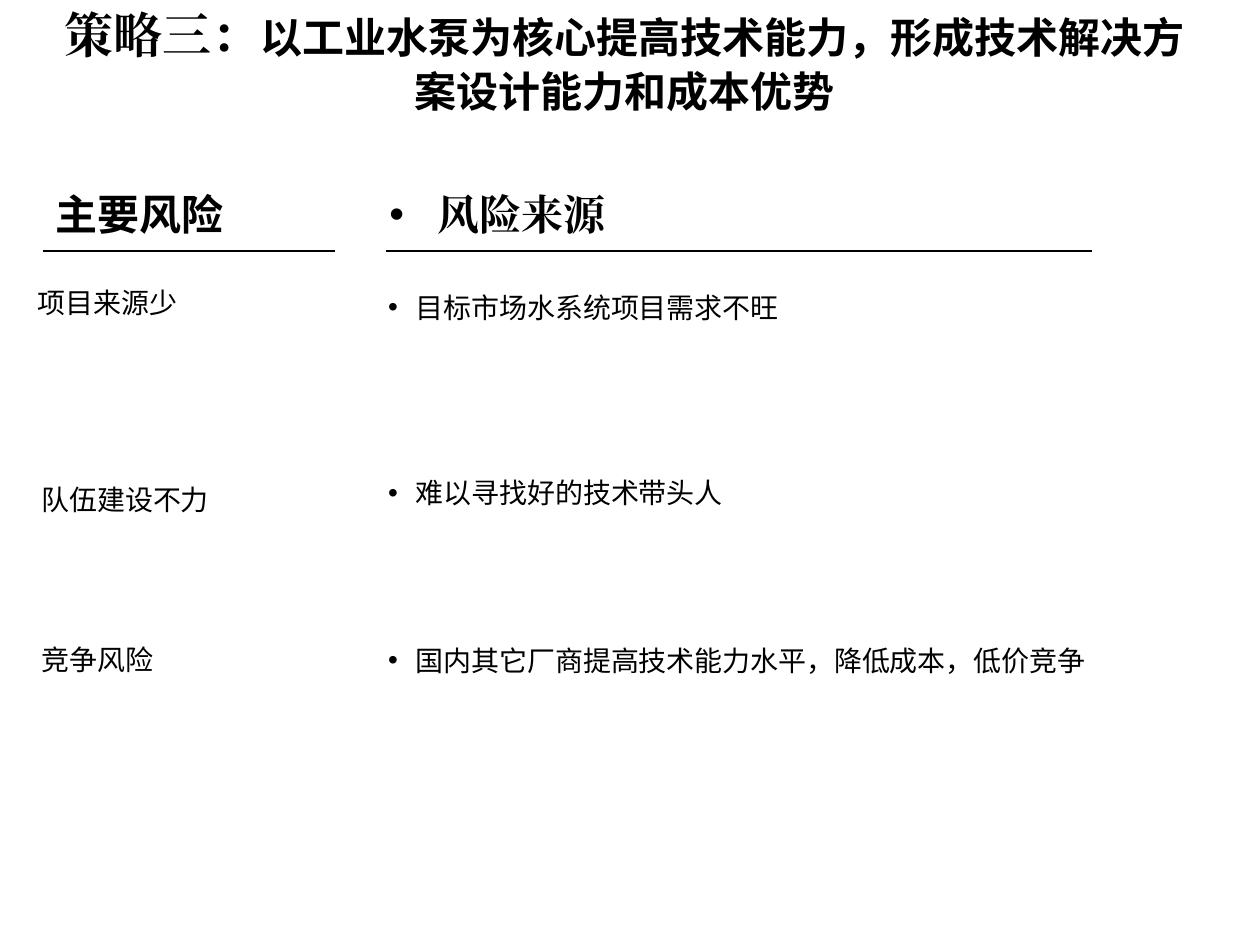
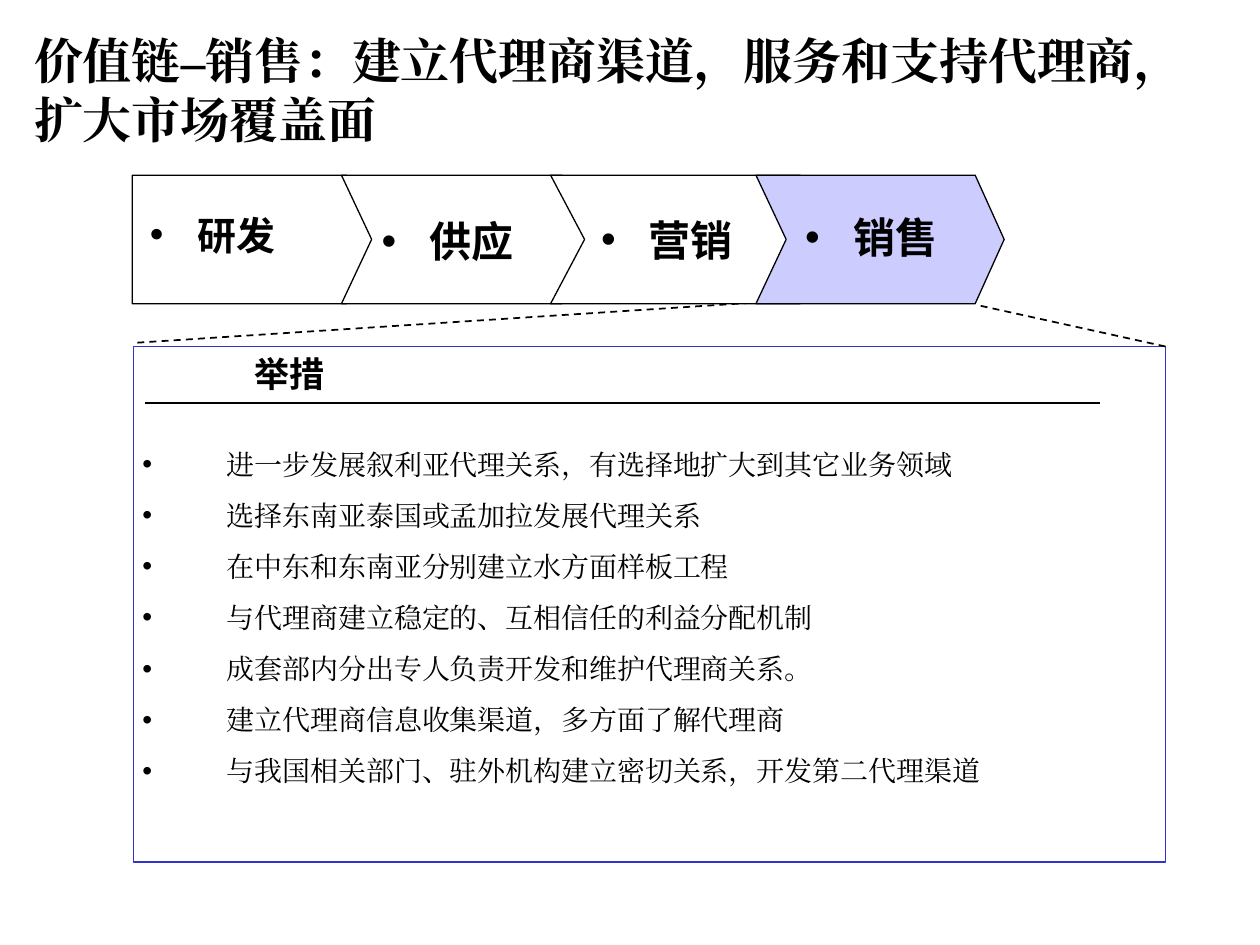
from lxml.etree import SubElement
from pptx import Presentation
from pptx.dml.color import RGBColor
from pptx.enum.dml import MSO_LINE
from pptx.enum.shapes import MSO_CONNECTOR, MSO_SHAPE
from pptx.enum.text import MSO_ANCHOR, MSO_AUTO_SIZE, PP_ALIGN
from pptx.oxml.ns import qn
from pptx.util import Inches, Pt

BLACK = RGBColor(0x00, 0x00, 0x00)
WHITE = RGBColor(0xFF, 0xFF, 0xFF)
BLUE = RGBColor(0x33, 0x33, 0xCC)
LILAC = RGBColor(0xCC, 0xCC, 0xFF)
SERIF, SANS, CJK = "Times New Roman", "Arial", "Noto Sans CJK SC"
LINE_HEIGHT = 1.2  # line height per point of text size
TITLE_ONLY = 5


# Shared text helpers
def add_run(p, text, size, font, bold=False):
    r = p.add_run()
    r.text = text
    r.font.size = Pt(size)
    r.font.bold = bold
    r.font.color.rgb = BLACK
    r.font.name = font
    SubElement(r.font._element, qn("a:ea"), typeface=font)


def set_bullet(p, indent):
    pPr = p._p.get_or_add_pPr()
    pPr.set("marL", str(Inches(indent)))
    pPr.set("indent", str(-Inches(indent)))
    SubElement(pPr, qn("a:buFont"), typeface=SANS)
    SubElement(pPr, qn("a:buChar"), char="•")


def set_frame(tf, margins=(0, 0), anchor=MSO_ANCHOR.TOP):
    tf.word_wrap = True
    tf.auto_size = MSO_AUTO_SIZE.NONE
    tf.vertical_anchor = anchor
    tf.margin_left = tf.margin_right = Inches(margins[0])
    tf.margin_top = tf.margin_bottom = Inches(margins[1])


def fill_paragraph(p, text, size, font, bold=False, indent=0, spacing=1,
                   align=PP_ALIGN.LEFT):
    if indent:
        set_bullet(p, indent)
    p.alignment = align
    p.line_spacing = Pt(round(size * LINE_HEIGHT * spacing, 1))
    p.space_before = Pt(0)
    add_run(p, text, size, font, bold)


def add_text(s, box, text, size, font, margins=(0, 0), anchor=MSO_ANCHOR.TOP,
             **style):
    sp = s.shapes.add_textbox(*map(Inches, box))
    set_frame(sp.text_frame, margins, anchor)
    fill_paragraph(sp.text_frame.paragraphs[0], text, size, font, **style)


# Shared shape helpers
def paint(sp, fill, line=None, width=1):
    sp.shadow.inherit = False
    sp.fill.solid()
    sp.fill.fore_color.rgb = fill
    if line is None:
        sp.line.fill.background()
    else:
        sp.line.color.rgb = line
        sp.line.width = Pt(width)


def add_line(s, start, end, dashed=False):
    c = s.shapes.add_connector(MSO_CONNECTOR.STRAIGHT,
                               *map(Inches, (*start, *end)))
    c.line.color.rgb = BLACK
    c.line.width = Pt(1)
    if dashed:
        c.line.dash_style = MSO_LINE.DASH
    SubElement(c._element.spPr, qn("a:effectLst"))


def add_title_slide(prs, box, runs, line, align):
    s = prs.slides.add_slide(prs.slide_layouts[TITLE_ONLY])
    title = s.shapes.title
    title.left, title.top, title.width, title.height = map(Inches, box)
    set_frame(title.text_frame, (0.1, 0.05), MSO_ANCHOR.MIDDLE)
    p = title.text_frame.paragraphs[0]
    p.alignment = align
    p.line_spacing = Pt(line)
    for text, size, font in runs:
        add_run(p, text, size, font, bold=True)
    return s


# Slide 1: risks and where they come from
def add_risk_column(s, left, top, width, heading, offset, font, indent=0):
    add_text(s, (left + offset, top, 2.03, 0.4), heading, 24, font,
             bold=True, indent=indent)
    add_line(s, (left, top + 0.49), (left + width, top + 0.49))


def build_risk_slide(prs):
    s = add_title_slide(
        prs, (0.33, 0.25, 9.25, 0.5),
        [("策略三：", 28, SERIF),
         ("以工业水泵为核心提高技术能力，形成技术解决方案设计能力和成本优势", 24, CJK)],
        30, PP_ALIGN.CENTER)
    add_risk_column(s, 0.34, 1.5, 2.32, "主要风险", 0.1, SANS)
    add_risk_column(s, 3.06, 1.5, 5.61, "风险来源", 0.03, SERIF, indent=0.38)

    # risk, its left, top and font; source, its top and line spacing
    rows = [
        ("项目来源少", 0.3, 2.27, CJK, "目标市场水系统项目需求不旺", 2.17, 1.5),
        ("队伍建设不力", 0.33, 3.83, SANS, "难以寻找好的技术带头人", 3.67, 1.4),
        ("竞争风险", 0.33, 5.1, SANS,
         "国内其它厂商提高技术能力水平，降低成本，低价竞争", 5, 1.4),
    ]
    for risk, left, top, font, source, source_top, spacing in rows:
        add_text(s, (left, top, 2.17, 0.27), risk, 16, font)
        add_text(s, (3.08, source_top, 5.83, 0.37), source, 16, SANS,
                 indent=0.22, spacing=spacing)


# Slide 2: value chain and sales measures
def add_chain_step(s, left, top, body, tip, notch, fill):
    height = 1.02
    right, middle, bottom = left + body, top + height / 2, top + height
    outline = [(right, top), (right + tip, middle), (right, bottom),
               (left, bottom), (left + notch, middle)]
    fb = s.shapes.build_freeform(Inches(left), Inches(top))
    fb.add_line_segments([(Inches(x), Inches(y)) for x, y in outline])
    paint(fb.convert_to_shape(), fill, BLACK, 0.75)


def add_value_chain(s, left, top):
    # name, offset, body, tip, notch, fill, label box, size, line spacing
    steps = [
        ("研发", 0, 1.7, 0.23, 0, WHITE, (0.09, 0.29, 1.29, 0.4), 22.2, 0.9),
        ("供应", 1.66, 1.75, 0.23, 0.24, WHITE, (1.93, 0.08, 1.36, 0.88), 24, 1),
        ("营销", 3.32, 1.98, 0.28, 0.27, WHITE, (3.67, 0.07, 1.28, 0.88), 24, 1),
        ("销售", 4.95, 1.74, 0.23, 0.24, LILAC, (5.29, 0.05, 1.32, 0.88), 24, 1),
    ]
    for name, offset, body, tip, notch, fill, label, size, spacing in steps:
        add_chain_step(s, left + offset, top, body, tip, notch, fill)
        x, y, w, h = label
        add_text(s, (left + x, top + y, w, h), name, size, CJK, (0.05, 0),
                 MSO_ANCHOR.MIDDLE, bold=True, indent=0.38, spacing=spacing)


def add_measures(s, left, top, width, height, measures):
    panel = s.shapes.add_shape(MSO_SHAPE.RECTANGLE,
                               *map(Inches, (left, top, width, height)))
    paint(panel, WHITE, BLUE)
    add_line(s, (left + 0.09, top + 0.45), (left + 7.67, top + 0.45))
    add_text(s, (left + 0.11, top, 2.25, 0.44), "举措", 20, CJK, (0.1, 0.05),
             bold=True, align=PP_ALIGN.CENTER)

    body = s.shapes.add_shape(
        MSO_SHAPE.RECTANGLE,
        *map(Inches, (left + 0.02, top + 0.8, width - 0.11, 2.7)))
    paint(body, WHITE)
    tf = body.text_frame
    set_frame(tf, (0.05, 0), MSO_ANCHOR.MIDDLE)
    for i, text in enumerate(measures):
        p = tf.add_paragraph() if i else tf.paragraphs[0]
        fill_paragraph(p, text, 16, SERIF, indent=0.67)
        if i:
            p.space_before = Pt(10)


def build_sales_slide(prs):
    s = add_title_slide(
        prs, (0.17, 0.25, 9.5, 0.92),
        [("价值链–销售：建立代理商渠道，服务和支持代理商，扩大市场覆盖面", 28, SERIF)],
        33.6, PP_ALIGN.LEFT)
    add_measures(s, 1.06, 2.75, 8.19, 4.09, [
        "进一步发展叙利亚代理关系，有选择地扩大到其它业务领域",
        "选择东南亚泰国或孟加拉发展代理关系",
        "在中东和东南亚分别建立水方面样板工程",
        "与代理商建立稳定的、互相信任的利益分配机制",
        "成套部内分出专人负责开发和维护代理商关系。",
        "建立代理商信息收集渠道，多方面了解代理商",
        "与我国相关部门、驻外机构建立密切关系，开发第二代理渠道",
    ])
    # Dashed lines from the sales step to the panel
    add_line(s, (1.09, 2.72), (6.01, 2.4), dashed=True)
    add_line(s, (9.25, 2.75), (7.75, 2.42), dashed=True)
    add_value_chain(s, 1.05, 1.39)


def main():
    prs = Presentation()
    prs.slide_width, prs.slide_height = Inches(10), Inches(7.5)
    build_risk_slide(prs)
    build_sales_slide(prs)
    prs.save("out.pptx")


if __name__ == "__main__":
    main()
